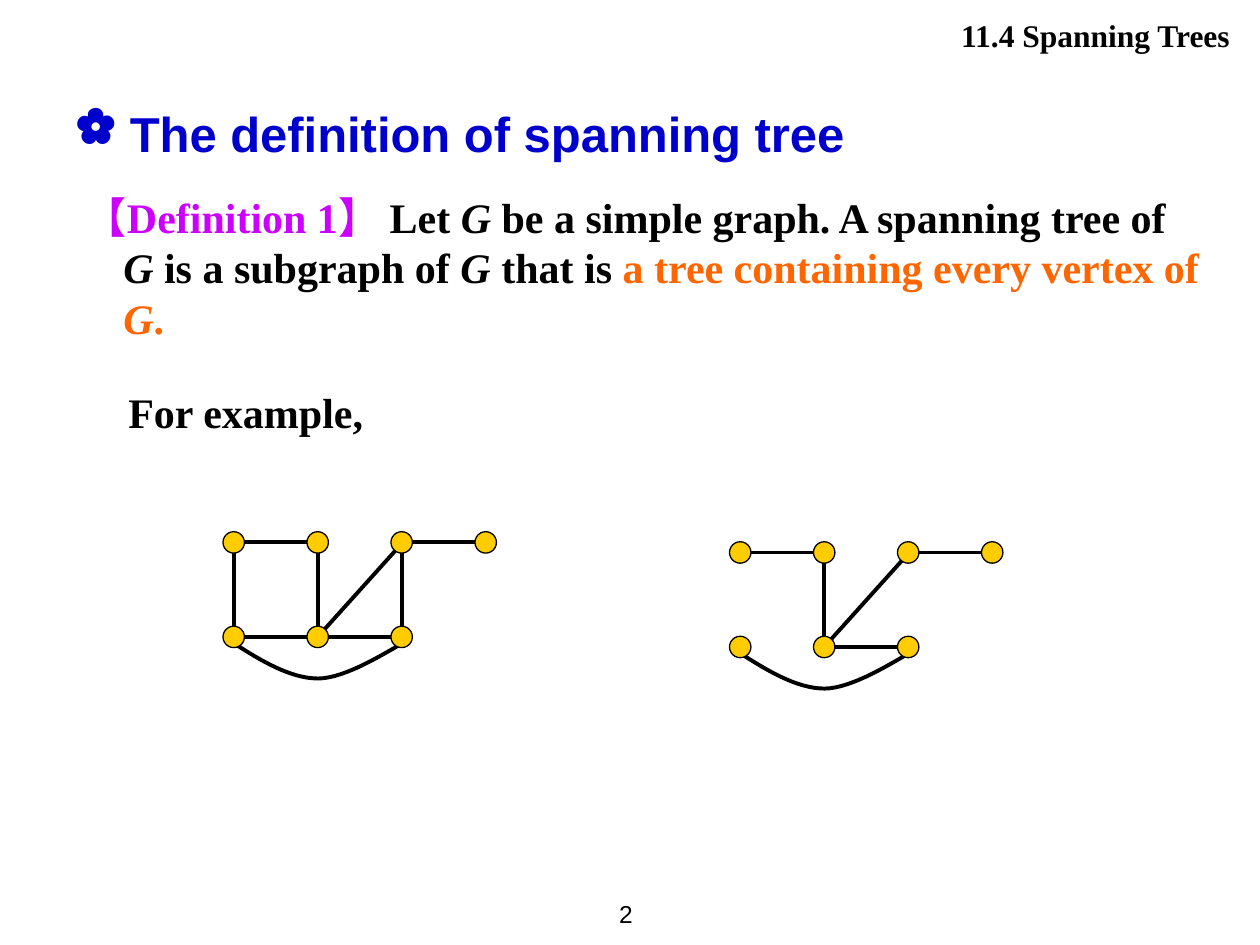
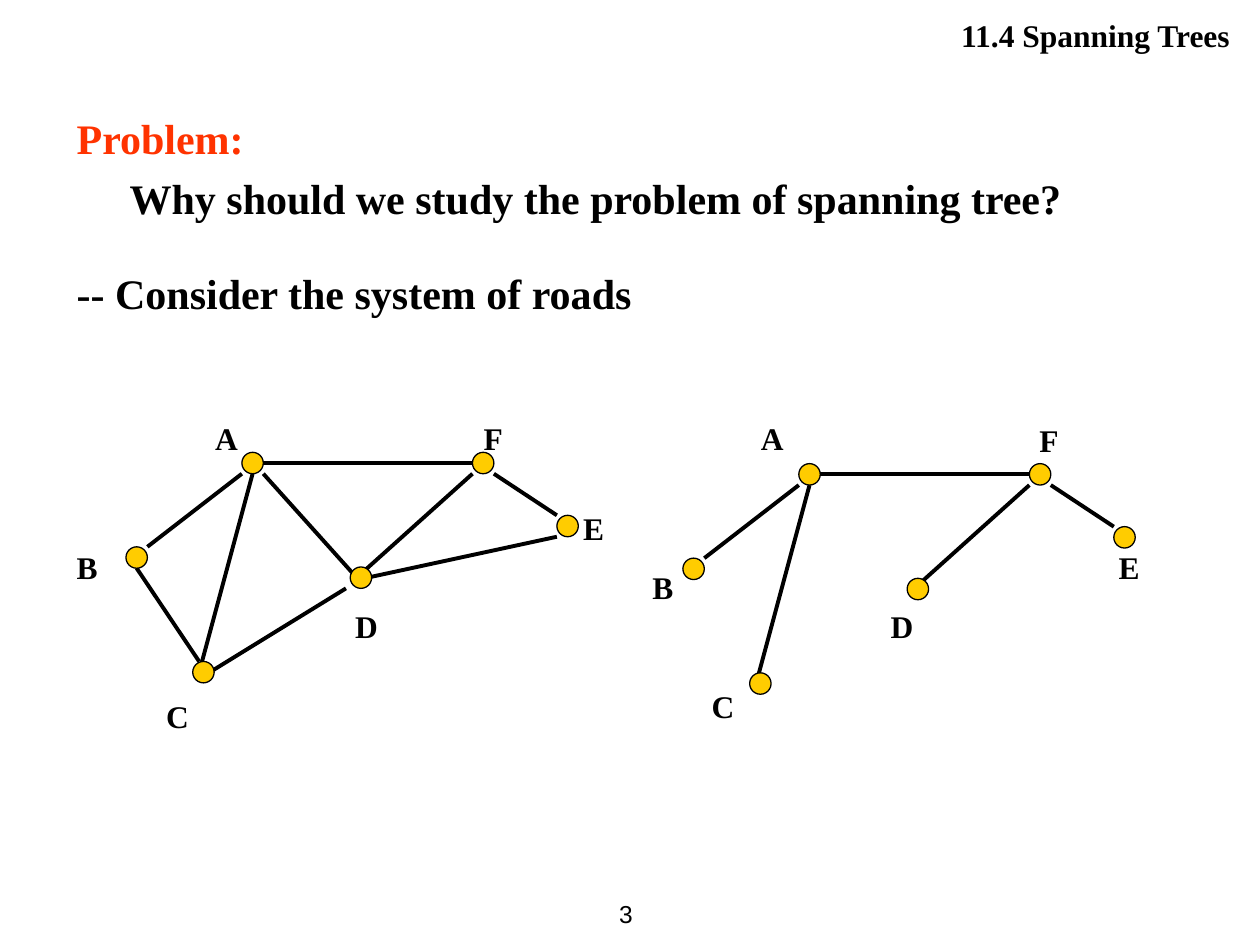
from lxml import etree
from pptx import Presentation
from pptx.dml.color import RGBColor
from pptx.enum.shapes import MSO_CONNECTOR, MSO_SHAPE
from pptx.enum.text import MSO_ANCHOR, MSO_AUTO_SIZE, PP_ALIGN
from pptx.oxml.ns import qn
from pptx.util import Inches, Pt

LEFT, RIGHT = PP_ALIGN.LEFT, PP_ALIGN.RIGHT
TOP, MIDDLE = MSO_ANCHOR.TOP, MSO_ANCHOR.MIDDLE
NO_AUTOSIZE = MSO_AUTO_SIZE.NONE
OVAL, STRAIGHT = MSO_SHAPE.OVAL, MSO_CONNECTOR.STRAIGHT
TITLE_ONLY, BLANK = 5, 6

COLORS = {
    "ink": "000000", "title": "0000CC", "term": "CC00FF",
    "key": "FF6600", "problem": "FF3300", "vertex": "FFCC00",
}
SERIF = "Times New Roman"
TITLE_FONT = {"name": "Arial", "size": Pt(28), "bold": True}
BODY_FONT = {"name": SERIF, "size": Pt(24), "bold": True}
LABEL_FONT = {"name": SERIF, "size": Pt(18), "bold": True}
NUMBER_FONT = {"name": "Arial", "size": Pt(14), "bold": False}
FRAME = {"word_wrap": True, "auto_size": NO_AUTOSIZE, "vertical_anchor": TOP}

DIAMETER = 0.17
# Where an edge meets a vertex, as fractions of the vertex's box
ANCHORS = {
    "n": (0.5, 0), "s": (0.5, 1), "e": (1, 0.5), "w": (0, 0.5),
    "nw": (0, 0), "ne": (1, 0), "sw": (0, 1), "se": (1, 1),
    "center": (0.5, 0.5), "sw rim": (0.27, 0.81),
    "inner": (0.3, 0.5), "inner n": (0.3, 0),
    "inner e": (0.8, 0.5), "outer sw": (-0.2, 1),
}

# Simple graph: four vertices above three, on a regular grid
GRID_X, GRID_Y = 2 / 3, 0.75
GRID_VERTICES = {
    f"{row}{col}": (col * GRID_X, y)
    for row, y, count in (("top", 0, 4), ("low", GRID_Y, 3))
    for col in range(count)
}
TREE_EDGES = [
    ("top0", "e", "top1", "w"), ("top2", "e", "top3", "w"),
    ("low1", "e", "low2", "w"), ("top1", "s", "low1", "n"),
    ("low1", "center", "top2", "sw rim"),
]
GRAPH_EDGES = TREE_EDGES + [
    ("top0", "s", "low0", "n"), ("low0", "e", "low1", "w"),
    ("top2", "s", "low2", "n"),
]
# Two Bezier pieces, measured from the centre of the lower left vertex
ARC = [
    ((0, 0.05), (0.22, 0.19), (0.45, 0.33), (0.67, 0.33)),
    ((0.67, 0.33), (0.89, 0.33), (1.23, 0.11), (1.34, 0.05)),
]

# System of roads
TOWNS = {
    "A": (0.92, 0), "B": (0, 0.75), "C": (0.53, 1.66),
    "D": (1.78, 0.91), "E": (3.42, 0.5), "F": (2.75, 0),
}
KEPT_ROADS = [
    ("A", "sw", "B", "ne"), ("A", "e", "F", "w"), ("F", "se", "E", "nw"),
    ("A", "s", "C", "inner"), ("F", "sw", "D", "inner"),
]
ALL_ROADS = KEPT_ROADS + [
    ("B", "s", "C", "inner n"), ("C", "inner e", "D", "outer sw"),
    ("D", "inner", "A", "se"), ("E", "sw", "D", "inner e"),
]
ALL_ROAD_LABELS = {
    "A": (0.61, -0.31), "B": (-0.49, 0.71), "C": (0.22, 1.89),
    "D": (1.72, 1.18), "E": (3.53, 0.4), "F": (2.74, -0.31),
}
KEPT_ROAD_LABELS = {
    "A": (0.52, -0.4), "B": (-0.34, 0.78), "C": (0.13, 1.72),
    "D": (1.55, 1.09), "E": (3.36, 0.62), "F": (2.73, -0.39),
}


def rgb(color):
    return RGBColor.from_string(COLORS[color])


def apply(target, values):
    for attribute, value in values.items():
        setattr(target, attribute, value)


def add_run(paragraph, text, font, color="ink", italic=False):
    run = paragraph.add_run()
    run.text = text
    apply(run.font, {**font, "italic": italic})
    run.font.color.rgb = rgb(color)


def add_text_frame(shapes, box, **frame_values):
    frame = shapes.add_textbox(*map(Inches, box)).text_frame
    apply(frame, {**FRAME, **frame_values})
    return frame


def add_line_of_text(shapes, box, text, font, align=LEFT, before=2, **frame_values):
    paragraph = add_text_frame(shapes, box, **frame_values).paragraphs[0]
    apply(paragraph, {"alignment": align, "space_before": Pt(before)})
    add_run(paragraph, text, font)


def set_indent(paragraph, margin, first_line=0):
    properties = paragraph._p.get_or_add_pPr()
    properties.set("marL", str(Inches(margin)))
    properties.set("indent", str(Inches(first_line)))
    return properties


def add_body(slide, box, paragraphs):
    """Each paragraph is (space before, margin, first line, runs)."""
    frame = add_text_frame(slide.shapes, box)
    for index, (before, margin, first_line, runs) in enumerate(paragraphs):
        paragraph = frame.add_paragraph() if index else frame.paragraphs[0]
        paragraph.space_before = Pt(before)
        set_indent(paragraph, margin, first_line)
        for run in runs:
            add_run(paragraph, run[0], BODY_FONT, *run[1:])


def add_title(slide, box, text):
    title = slide.shapes.title
    apply(title, dict(zip(("left", "top", "width", "height"), map(Inches, box))))
    apply(title.text_frame, FRAME)
    paragraph = title.text_frame.paragraphs[0]
    paragraph.alignment = LEFT
    properties = set_indent(paragraph, 0.43, -0.43)
    etree.SubElement(properties, qn("a:buChar")).set("char", "✿")
    add_run(paragraph, text, TITLE_FONT, "title")


def add_running_parts(slide, number):
    """Section heading and page number, the same on each slide."""
    add_line_of_text(slide.shapes, (3.98, 0.08, 5.88, 0.4),
                     "11.4 Spanning Trees", LABEL_FONT, RIGHT)
    add_line_of_text(slide.shapes, (4.45, 7, 0.67, 0.5), str(number),
                     NUMBER_FONT, RIGHT, 0, vertical_anchor=MIDDLE)


def style_edge(edge):
    edge.line.color.rgb = rgb("ink")
    edge.line.width = Pt(2.25)


def add_graph(slide, origin, vertices, edges, arc=(), labels=None):
    """Draw a graph whose parts are measured from origin."""
    shapes = slide.shapes.add_group_shape().shapes
    left, top = origin

    def meeting_point(vertex, anchor):
        x, y = vertices[vertex]
        across, down = ANCHORS[anchor]
        return (Inches(left + x + across * DIAMETER),
                Inches(top + y + down * DIAMETER))

    # Straight edges
    for start, start_anchor, end, end_anchor in edges:
        edge = shapes.add_connector(STRAIGHT, *meeting_point(start, start_anchor),
                                    *meeting_point(end, end_anchor))
        style_edge(edge)
        etree.SubElement(edge._element.spPr, qn("a:effectLst"))

    # Curved edge
    if arc:
        x0, y0 = meeting_point("low0", "center")
        points = [(x0 + Inches(x), y0 + Inches(y)) for x, y in arc_points(arc)]
        builder = shapes.build_freeform(*points[0])
        builder.add_line_segments(points[1:], close=False)
        curve = builder.convert_to_shape()
        curve.shadow.inherit = False
        curve.fill.background()
        style_edge(curve)

    # Vertices, above the edges
    for x, y in vertices.values():
        vertex = shapes.add_shape(OVAL, Inches(left + x), Inches(top + y),
                                  Inches(DIAMETER), Inches(DIAMETER))
        vertex.shadow.inherit = False
        vertex.fill.solid()
        vertex.fill.fore_color.rgb = rgb("vertex")
        vertex.line.color.rgb = rgb("ink")
        vertex.line.width = Pt(0.75)

    # Vertex names
    for name, (x, y) in (labels or {}).items():
        add_line_of_text(shapes, (left + x, top + y, 0.55, 0.4), name, LABEL_FONT)


def arc_points(pieces, steps=16):
    points = []
    for piece in pieces:
        for step in range(steps + 1):
            t = step / steps
            weights = ((1 - t) ** 3, 3 * t * (1 - t) ** 2, 3 * t * t * (1 - t), t ** 3)
            points.append([sum(w * p for w, p in zip(weights, axis))
                           for axis in zip(*piece)])
    return points


def add_definition_slide(deck, number):
    slide = deck.slides.add_slide(deck.slide_layouts[TITLE_ONLY])
    add_title(slide, (0.5, 0.77, 9, 0.77), "The definition of spanning tree")
    add_body(slide, (0.5, 1.47, 9.15, 2.05), [
        (2, 0.38, -0.38, [
            (" ",), ("【Definition 1】 ", "term"), ("Let ",), ("G", "ink", True),
            (" be a simple graph. A spanning tree of ",), ("G", "ink", True),
            (" is a subgraph of ",), ("G", "ink", True), (" that is ",),
            ("a tree containing every vertex of ", "key"),
            ("G", "key", True), (".", "key"),
        ]),
        (25, 0.42, 0, [("For example,",)]),
    ])
    add_graph(slide, (1.77, 4.22), GRID_VERTICES, GRAPH_EDGES, ARC)
    add_graph(slide, (5.79, 4.3), GRID_VERTICES, TREE_EDGES, ARC)
    add_running_parts(slide, number)


def add_problem_slide(deck, number):
    slide = deck.slides.add_slide(deck.slide_layouts[BLANK])
    add_body(slide, (0.51, 0.84, 8.98, 1.97), [
        (2, 0, 0, [("Problem:", "problem")]),
        (6, 0.42, 0, [("Why should we study the problem of spanning tree?",)]),
        (25, 0, 0, [("-- Consider the system of roads",)]),
    ])
    add_graph(slide, (1, 3.59), TOWNS, ALL_ROADS, labels=ALL_ROAD_LABELS)
    add_graph(slide, (5.42, 3.68), TOWNS, KEPT_ROADS, labels=KEPT_ROAD_LABELS)
    add_running_parts(slide, number)


def main():
    deck = Presentation()
    apply(deck, {"slide_width": Inches(10), "slide_height": Inches(7.5)})
    add_definition_slide(deck, 2)
    add_problem_slide(deck, 3)
    deck.save("out.pptx")


if __name__ == "__main__":
    main()
